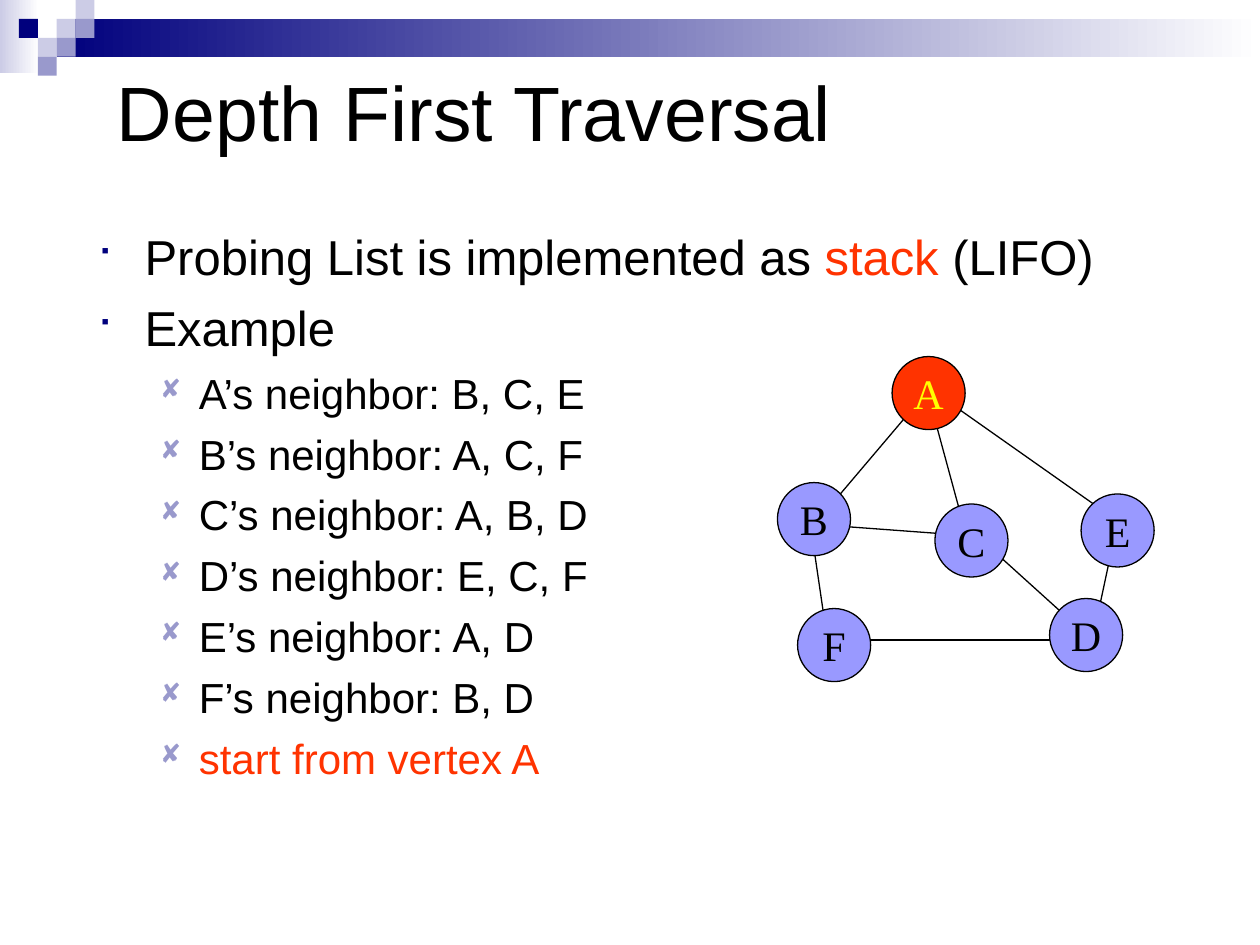
import pptx
import pptx.util
import pptx.dml.color
import pptx.enum.shapes
import pptx.enum.text
import pptx.oxml.ns
from lxml import etree

Inches, Pt = pptx.util.Inches, pptx.util.Pt
KIND = pptx.enum.shapes.MSO_SHAPE
ANCHOR = pptx.enum.text.MSO_ANCHOR
qn = pptx.oxml.ns.qn

TITLE = "Depth First Traversal"
BLACK, RED = "000000", "FF3300"
BODY = [
    (0, [("Probing List is implemented as ", BLACK), ("stack", RED), (" (LIFO)", BLACK)]),
    (0, [("Example", BLACK)]),
    (1, [("A’s neighbor: B, C, E", BLACK)]),
    (1, [("B’s neighbor: A, C, F", BLACK)]),
    (1, [("C’s neighbor: A, B, D", BLACK)]),
    (1, [("D’s neighbor: E, C, F", BLACK)]),
    (1, [("E’s neighbor: A, D", BLACK)]),
    (1, [("F’s neighbor: B, D", BLACK)]),
    (1, [("start from vertex A", RED)]),
]
LEVELS = [
    dict(size=28, left=0.38, hang=0.38, gap=7, mark="■", color="00007D", scale=75),
    dict(size=24, left=0.81, hang=0.31, gap=6, mark="◻", color="9999CC", scale=80),
]
BARS = [((0, 0, 0.31, 0.58), "CCCCE6"), ((0.45, 0.15, 9.55, 0.3), "00007D")]
TILE = 0.15
TILES = [
    (3, 1, "CCCCE6"), (4, 0, "CCCCE6"), (4, 1, "9999CC"), (2, 2, "CCCCE6"),
    (1, 1, "00007D"), (3, 2, "9999CC"), (2, 3, "9999CC"),
]
EDGES = [
    (6.58, 4.17, 7.67, 4.25), (7.17, 3.33, 6.67, 3.92),
    (7.33, 3, 7.67, 4.25), (7.5, 3.17, 8.92, 4.17),
    (6.42, 4.08, 6.58, 5.17), (8.83, 4.33, 8.67, 5.08),
    (7.75, 4.25, 8.58, 5), (6.75, 5.08, 8.5, 5.08),
]
NODE = 0.58
NODES = [
    ("A", 7.08, 2.83), ("B", 6.17, 3.83), ("C", 7.42, 4),
    ("E", 8.58, 3.92), ("F", 6.33, 4.83), ("D", 8.33, 4.75),
]


def rgb(code):
    return pptx.dml.color.RGBColor.from_string(code)


def style(font, size, color, name="Arial"):
    font.size, font.name = Pt(size), name
    font.color.rgb = rgb(color)


def add_shape(slide, kind, box, color=None):
    shape = slide.shapes.add_shape(kind, *map(Inches, box))
    shape.shadow.inherit = False
    shape.line.fill.background()
    if color:
        shape.fill.solid()
        shape.fill.fore_color.rgb = rgb(color)
    return shape


def add_bar(slide, box, color):
    fill = add_shape(slide, KIND.RECTANGLE, box).fill
    fill.gradient()
    fill.gradient_angle = 0
    for stop, code in zip(fill.gradient_stops, (color, "FFFFFF")):
        stop.color.rgb = rgb(code)


def add_text(slide, box):
    frame = slide.shapes.add_textbox(*map(Inches, box)).text_frame
    frame.word_wrap = True
    return frame


def add_mark(para, level):
    props = para._p.get_or_add_pPr()
    props.set("marL", str(Inches(level["left"])))
    props.set("indent", str(-Inches(level["hang"])))
    tint = etree.SubElement(props, qn("a:buClr"))
    etree.SubElement(tint, qn("a:srgbClr"), val=level["color"])
    etree.SubElement(props, qn("a:buSzPct"), val=str(level["scale"] * 1000))
    etree.SubElement(props, qn("a:buFont"), typeface="Wingdings")
    etree.SubElement(props, qn("a:buChar"), char=level["mark"])


def add_body(slide):
    frame = add_text(slide, (0.67, 1.75, 8.17, 4.83))
    for i, (depth, runs) in enumerate(BODY):
        para = frame.add_paragraph() if i else frame.paragraphs[0]
        level = LEVELS[depth]
        para.level = depth
        add_mark(para, level)
        para.space_before = Pt(level["gap"] if i else 0)
        for text, color in runs:
            run = para.add_run()
            run.text = text
            style(run.font, level["size"], color)


def add_edge(slide, ends):
    edge = slide.shapes.add_connector(
        pptx.enum.shapes.MSO_CONNECTOR.STRAIGHT, *map(Inches, ends))
    edge.line.color.rgb = rgb(BLACK)
    edge.line.width = Pt(0.75)
    etree.SubElement(edge._element.spPr, qn("a:effectLst"))


def add_node(slide, name, left, top):
    start = name == "A"
    node = add_shape(slide, KIND.OVAL, (left, top, NODE, NODE),
                     RED if start else "9999FF")
    node.line.color.rgb = rgb(BLACK)
    node.line.width = Pt(0.75)
    frame = node.text_frame
    frame.word_wrap = False
    frame.vertical_anchor = ANCHOR.MIDDLE
    frame.text = name
    para = frame.paragraphs[0]
    para.alignment = pptx.enum.text.PP_ALIGN.CENTER
    style(para.runs[0].font, 24, "FFFF00" if start else BLACK, "Times New Roman")


def main():
    deck = pptx.Presentation()
    deck.slide_width, deck.slide_height = Inches(10), Inches(7.5)
    slide = deck.slides.add_slide(deck.slide_layouts[6])
    for box, color in BARS:
        add_bar(slide, box, color)
    for col, row, color in TILES:
        add_shape(slide, KIND.RECTANGLE, (col * TILE, row * TILE, TILE, TILE), color)
    title = add_text(slide, (0.83, 0.25, 8.5, 1.25))
    title.vertical_anchor = ANCHOR.MIDDLE
    title.text = TITLE
    style(title.paragraphs[0].runs[0].font, 44, BLACK)
    add_body(slide)
    for ends in EDGES:
        add_edge(slide, ends)
    for node in NODES:
        add_node(slide, *node)
    deck.save("out.pptx")


if __name__ == "__main__":
    main()
